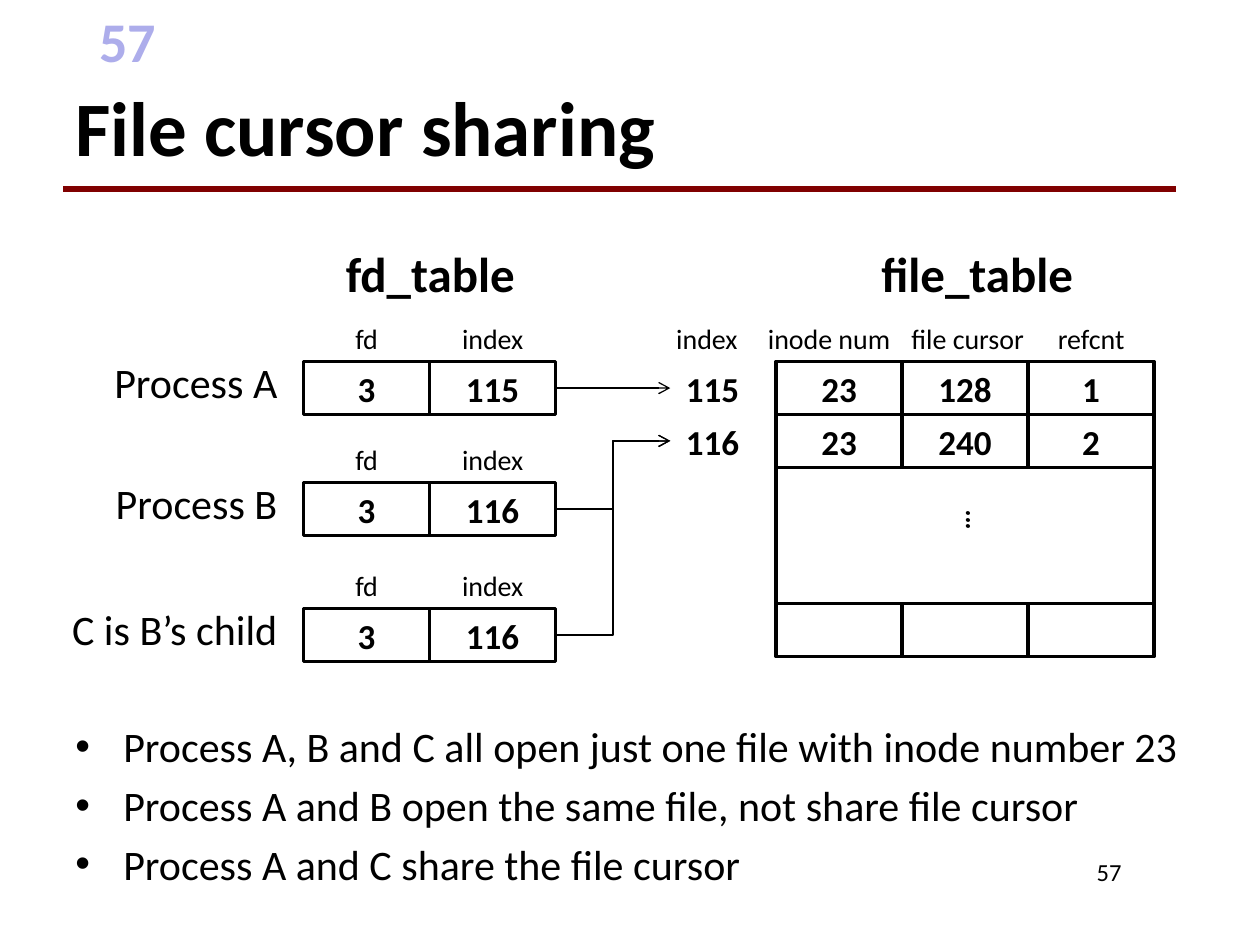
from lxml import etree
from pptx import Presentation
from pptx.dml.color import RGBColor
from pptx.enum.shapes import MSO_CONNECTOR, MSO_SHAPE
from pptx.enum.text import MSO_ANCHOR, PP_ALIGN
from pptx.oxml.ns import qn
from pptx.util import Inches, Pt

STRAIGHT, ELBOW = MSO_CONNECTOR.STRAIGHT, MSO_CONNECTOR.ELBOW
RECTANGLE = MSO_SHAPE.RECTANGLE
LEFT, CENTER, RIGHT = PP_ALIGN.LEFT, PP_ALIGN.CENTER, PP_ALIGN.RIGHT
TOP, MIDDLE = MSO_ANCHOR.TOP, MSO_ANCHOR.MIDDLE
LEFT_SIDE, RIGHT_SIDE = 1, 3

BLACK, MAROON, LAVENDER = "000000", "800000", "ADADEB"
CELL_WIDTH, CELL_HEIGHT = 1, 0.42
HEADER_HEIGHT = 0.37
TABLE_TOP = 2.87
FD_LEFT, INDEX_LEFT, FILE_LEFT = 2.41, 5.32, 6.16
LAST_ROW_TOP = 4.79

PROCESSES = [
    ("Process A", "115", TABLE_TOP),
    ("Process B", "116", 3.83),
    ("C is B’s child", "116", 4.83),
]
FILE_HEADERS = [("index", 5.61), ("inode num", 6.58), ("file cursor", 7.68), ("refcnt", 8.66)]
FILE_ROWS = [
    (TABLE_TOP, ["23", "128", "1"]),
    (TABLE_TOP + CELL_HEIGHT, ["23", "240", "2"]),
    (LAST_ROW_TOP, ["", "", ""]),
]
POINTS = [
    "Process A, B and C all open just one file with inode number 23",
    "Process A and B open the same file, not share file cursor",
    "Process A and C share the file cursor",
]


def color(hex_value):
    """Turn a hex string into a colour."""
    return RGBColor.from_string(hex_value)


def style_text(shape, size, bold=False, align=LEFT, anchor=TOP, font="Calibri", fill=BLACK):
    """Format all paragraphs of a shape alike."""
    text_frame = shape.text_frame
    text_frame.word_wrap = True
    text_frame.vertical_anchor = anchor
    for paragraph in text_frame.paragraphs:
        paragraph.alignment = align
        for run in paragraph.runs:
            run.font.name = font
            run.font.size = Pt(size)
            run.font.bold = bold
            run.font.color.rgb = color(fill)


def add_text(slide, text, left, top, width, height, size, **style):
    """Add a formatted text box."""
    box = slide.shapes.add_textbox(Inches(left), Inches(top), Inches(width), Inches(height))
    box.text_frame.text = text
    style_text(box, size, **style)
    return box


def add_header(slide, text, center, bottom):
    """Add a small column name that stands on a table's top edge."""
    width = 1.18
    add_text(slide, text, center - width / 2, bottom - HEADER_HEIGHT, width, HEADER_HEIGHT,
             16, align=CENTER)


def add_cell(slide, text, left, top, width=CELL_WIDTH, outlined=True):
    """Add one box of a table."""
    cell = slide.shapes.add_shape(RECTANGLE, Inches(left), Inches(top),
                                  Inches(width), Inches(CELL_HEIGHT))
    cell.shadow.inherit = False
    cell.fill.background()
    if outlined:
        cell.line.color.rgb = color(BLACK)
        cell.line.width = Pt(2)
    else:
        cell.line.fill.background()
    cell.text_frame.text = text
    style_text(cell, 20, bold=True, align=CENTER, anchor=MIDDLE)
    return cell


def add_line(slide, start, end, width, line_color=BLACK, kind=STRAIGHT):
    """Add a connector without a shadow."""
    line = slide.shapes.add_connector(kind, *map(Inches, start + end))
    line.line.color.rgb = color(line_color)
    line.line.width = Pt(width)
    etree.SubElement(line._element.spPr, qn("a:effectLst"))
    return line


def add_arrow(slide, source, target):
    """Lead an elbow arrow from a cell's right side to a label's left side."""
    arrow = add_line(slide, (0, 0), (1, 1), 0.75, kind=ELBOW)
    arrow.begin_connect(source, RIGHT_SIDE)
    arrow.end_connect(target, LEFT_SIDE)
    etree.SubElement(arrow.line._get_or_add_ln(), qn("a:tailEnd"), type="arrow")


def add_process(slide, name, index, top):
    """Add a process with its descriptor row and return the index cell."""
    add_text(slide, name, 0.33, top - 0.09, 1.97, 0.51, 24, align=RIGHT)
    for column, (header, value) in enumerate([("fd", "3"), ("index", index)]):
        left = FD_LEFT + column * CELL_WIDTH
        add_header(slide, header, left + CELL_WIDTH / 2, top)
        cell = add_cell(slide, value, left, top)
    return cell


def add_file_table(slide):
    """Add the file table and return its index labels by value."""
    for header, center in FILE_HEADERS:
        add_header(slide, header, center, TABLE_TOP)
    for top, values in FILE_ROWS:
        for column, value in enumerate(values):
            add_cell(slide, value, FILE_LEFT + column * CELL_WIDTH, top)
    for side in (FILE_LEFT, FILE_LEFT + 3 * CELL_WIDTH):
        add_line(slide, (side, TABLE_TOP + 2 * CELL_HEIGHT), (side, LAST_ROW_TOP), 2)
    dots = add_text(slide, "...", 7.48, 4.03, 0.59, 0.44, 20, bold=True, font="Comic Neue")
    dots.rotation = 90
    return {
        index: add_cell(slide, index, INDEX_LEFT, TABLE_TOP + row * CELL_HEIGHT, 0.67, False)
        for row, index in enumerate(["115", "116"])
    }


def add_bullets(slide, points):
    """Add the bulleted list of conclusions."""
    box = add_text(slide, "\n".join(points), 0.5, 5.67, 9.08, 1.08, 24)
    for paragraph in box.text_frame.paragraphs:
        paragraph.space_before = Pt(4.8)
        properties = paragraph._p.get_or_add_pPr()
        properties.set("marL", str(Inches(0.38)))
        properties.set("indent", str(Inches(-0.38)))
        etree.SubElement(properties, qn("a:buFont"), typeface="Arial")
        etree.SubElement(properties, qn("a:buChar"), char="•")


def main():
    """Build and save the slide."""
    presentation = Presentation()
    presentation.slide_width, presentation.slide_height = Inches(10), Inches(7.5)
    slide = presentation.slides.add_slide(presentation.slide_layouts[6])

    add_line(slide, (0.5, 1.5), (9.33, 1.5), 3, MAROON)
    add_text(slide, "57", 0.42, 0, 0.92, 0.58, 32, bold=True, align=RIGHT, fill=LAVENDER)
    add_text(slide, "File cursor sharing", 0.5, 0.5, 8.83, 1, 44, bold=True, anchor=MIDDLE)
    add_text(slide, "57", 7.58, 6.75, 1.42, 0.5, 14, align=RIGHT)

    for name, left in (("fd_table", 2.08), ("file_table", 6.42)):
        add_text(slide, name, left, 1.88, 2.67, 0.57, 28, bold=True, align=CENTER)
    labels = add_file_table(slide)
    for name, index, top in PROCESSES:
        add_arrow(slide, add_process(slide, name, index, top), labels[index])
    add_bullets(slide, POINTS)

    presentation.save("out.pptx")


if __name__ == "__main__":
    main()
